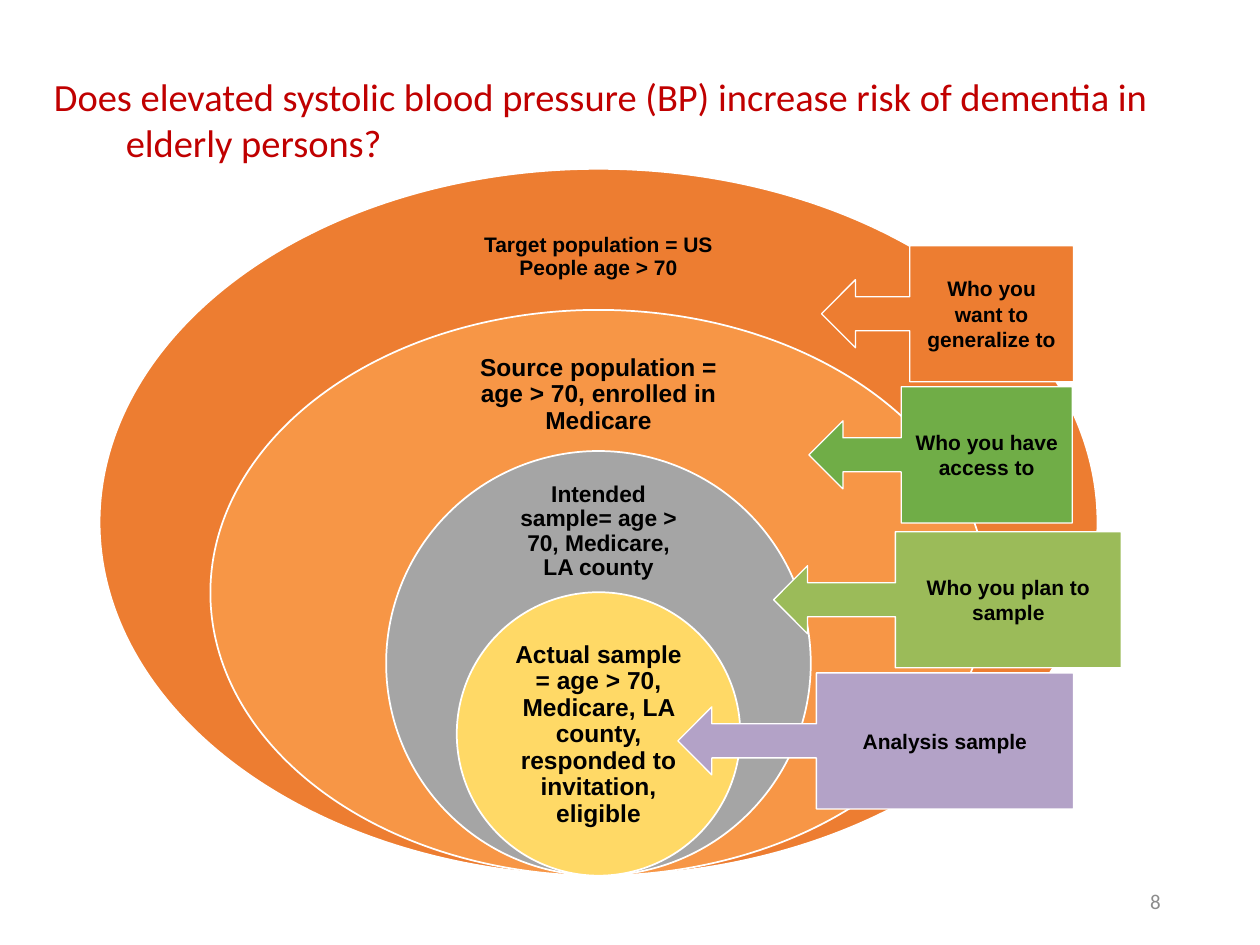
"""Build a slide of nested study populations with arrow callouts."""
from pptx import Presentation
from pptx.dml.color import RGBColor
from pptx.enum.shapes import MSO_SHAPE as Shape
from pptx.enum.text import MSO_ANCHOR as Anchor, PP_ALIGN as Align
from pptx.util import Inches, Pt

BLACK = RGBColor(0x00, 0x00, 0x00)
WHITE = RGBColor(0xFF, 0xFF, 0xFF)
RED = RGBColor(0xC0, 0x00, 0x00)
GRAY = RGBColor(0x8C, 0x8C, 0x8C)
DARK_ORANGE = RGBColor(0xED, 0x7D, 0x31)
ORANGE = RGBColor(0xF7, 0x96, 0x46)
SILVER = RGBColor(0xA5, 0xA5, 0xA5)
YELLOW = RGBColor(0xFF, 0xD9, 0x66)
GREEN = RGBColor(0x70, 0xAD, 0x47)
OLIVE = RGBColor(0x9B, 0xBB, 0x59)
PURPLE = RGBColor(0xB3, 0xA2, 0xC7)

CENTER, BOTTOM = 4.75, 6.95
CALLOUT_HEIGHT = 1.08


def write(box, text, size, color=BLACK, font="Arial", bold=True, align=Align.CENTER):
    frame = box.text_frame
    frame.word_wrap = True
    frame.vertical_anchor = Anchor.MIDDLE
    para = frame.paragraphs[0]
    para.text = text
    para.alignment = align
    para.font.name = font
    para.font.size = Pt(size)
    para.font.bold = bold
    para.font.color.rgb = color
    return para


def add_filled(kind, left, top, width, height, fill, line_width):
    shape = page.shapes.add_shape(
        kind, Inches(left), Inches(top), Inches(width), Inches(height))
    shape.shadow.inherit = False
    shape.fill.solid()
    shape.fill.fore_color.rgb = fill
    shape.line.color.rgb = WHITE
    shape.line.width = Pt(line_width)
    return shape


deck = Presentation()
deck.slide_width, deck.slide_height = Inches(10), Inches(7.5)
page = deck.slides.add_slide(deck.slide_layouts[6])

populations = [
    (7.92, 5.61, DARK_ORANGE, "Target population = US People age > 70",
     12, 1.62, 2.21, 0.84, 0.09),
    (6.16, 4.49, ORANGE, "Source population = age > 70, enrolled in Medicare",
     14, 2.73, 2.15, 0.81, 0.11),
    (3.37, 3.37, SILVER, "Intended sample= age > 70, Medicare, LA county",
     13, 3.84, 1.57, 0.76, 0.1),
    (2.25, 2.25, YELLOW,
     "Actual sample = age > 70, Medicare, LA county, responded to invitation, eligible",
     14, 5.27, 1.59, 1.12, 0.11),
]
for width, height, fill, text, size, text_top, text_width, text_height, inset in populations:
    add_filled(Shape.OVAL, CENTER - width / 2, BOTTOM - height, width, height, fill, 1)
    label = page.shapes.add_textbox(
        Inches(CENTER - text_width / 2), Inches(text_top),
        Inches(text_width), Inches(text_height))
    frame = label.text_frame
    frame.margin_left = frame.margin_right = Inches(inset)
    frame.margin_top = frame.margin_bottom = Inches(inset)
    write(label, text, size).line_spacing = 0.9

title = page.shapes.add_textbox(Inches(0.33), Inches(0.22), Inches(9.25), Inches(1.45))
title_para = write(
    title,
    "Does elevated systolic blood pressure (BP) increase risk of dementia in elderly persons?",
    22, RED, "Calibri", False, Align.LEFT)
title_properties = title_para._p.get_or_add_pPr()
title_properties.set("marL", str(Inches(0.57)))
title_properties.set("indent", str(Inches(-0.57)))

callouts = [
    (6.52, 1.95, 2, DARK_ORANGE, "Who you want to generalize to"),
    (6.42, 3.07, 2.09, GREEN, "Who you have access to"),
    (6.14, 4.22, 2.76, OLIVE, "Who you plan to sample"),
    (5.38, 5.34, 3.14, PURPLE, "Analysis sample"),
]
for left, top, width, fill, text in callouts:
    callout = add_filled(
        Shape.LEFT_ARROW_CALLOUT, left, top, width, CALLOUT_HEIGHT, fill, 0.75)
    write(callout, text, 12)

number = page.shapes.add_textbox(Inches(7.06), Inches(6.95), Inches(2.25), Inches(0.4))
write(number, "8", 12, GRAY, "Calibri", False, Align.RIGHT)

deck.save("out.pptx")
